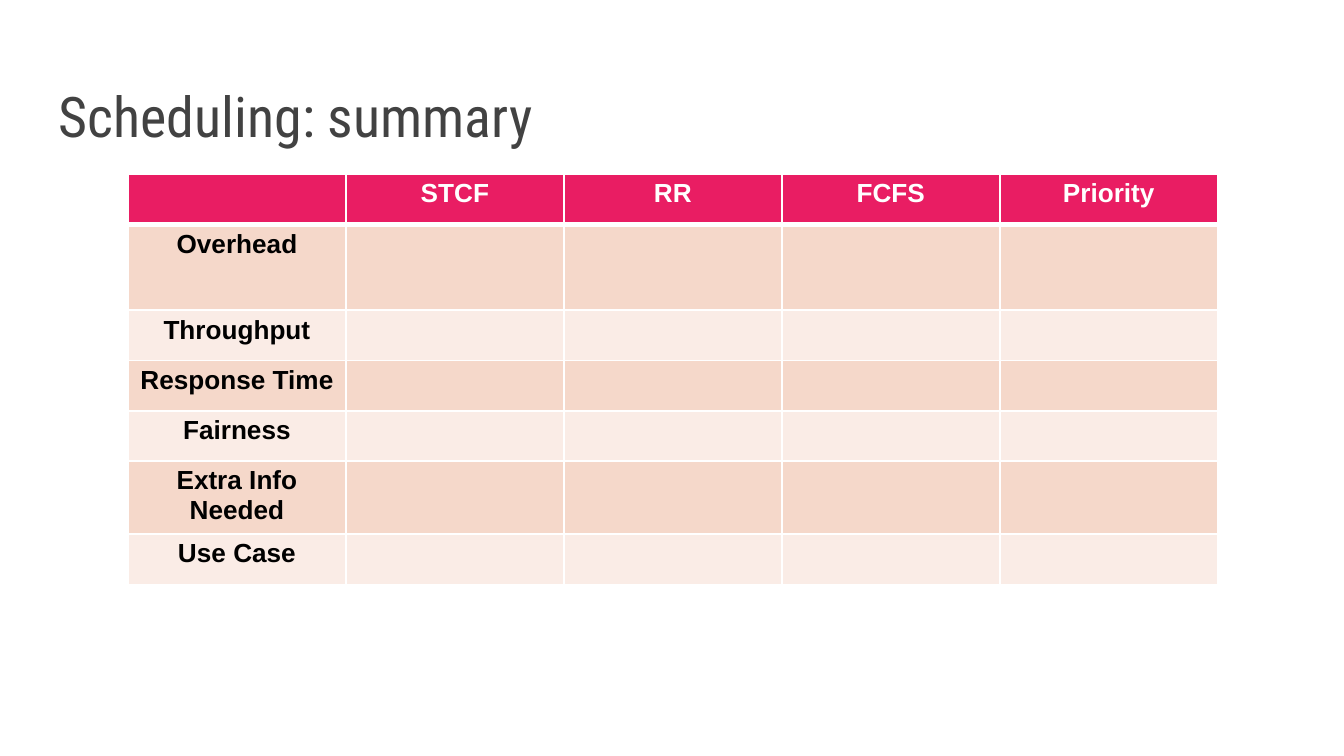
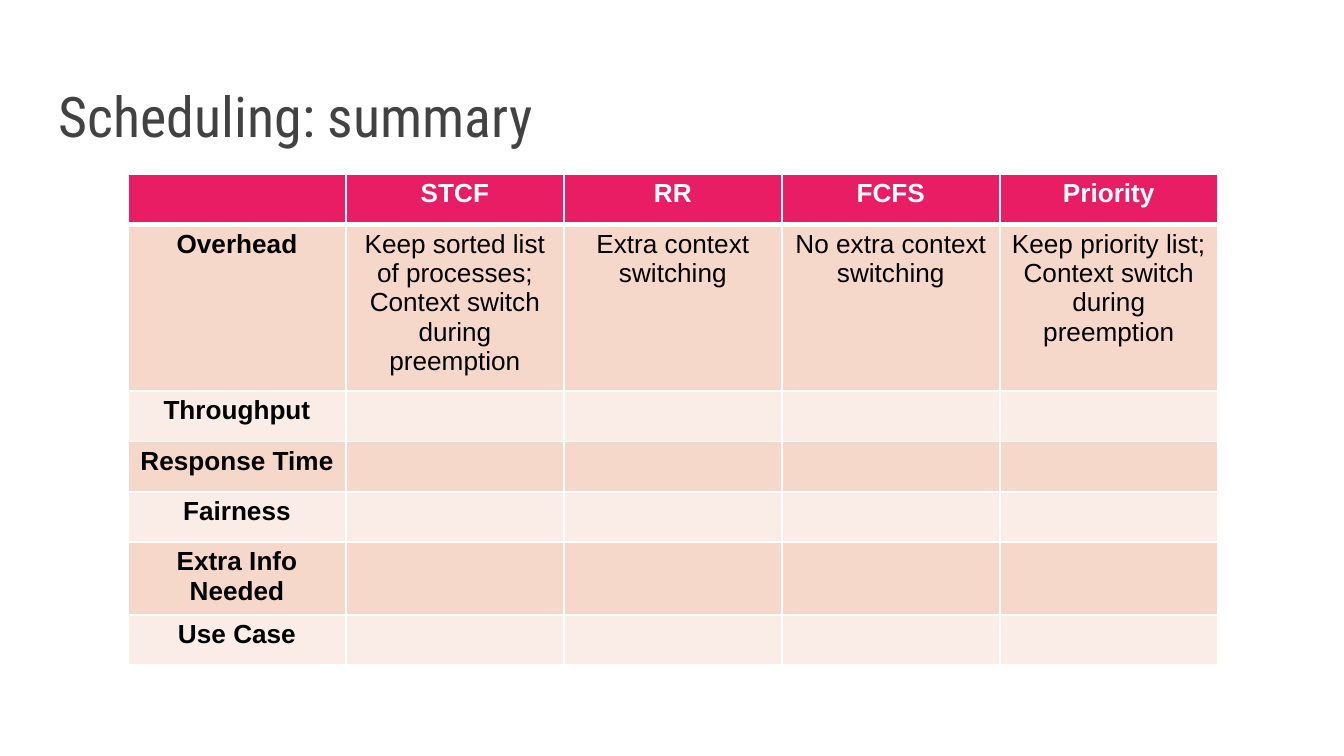
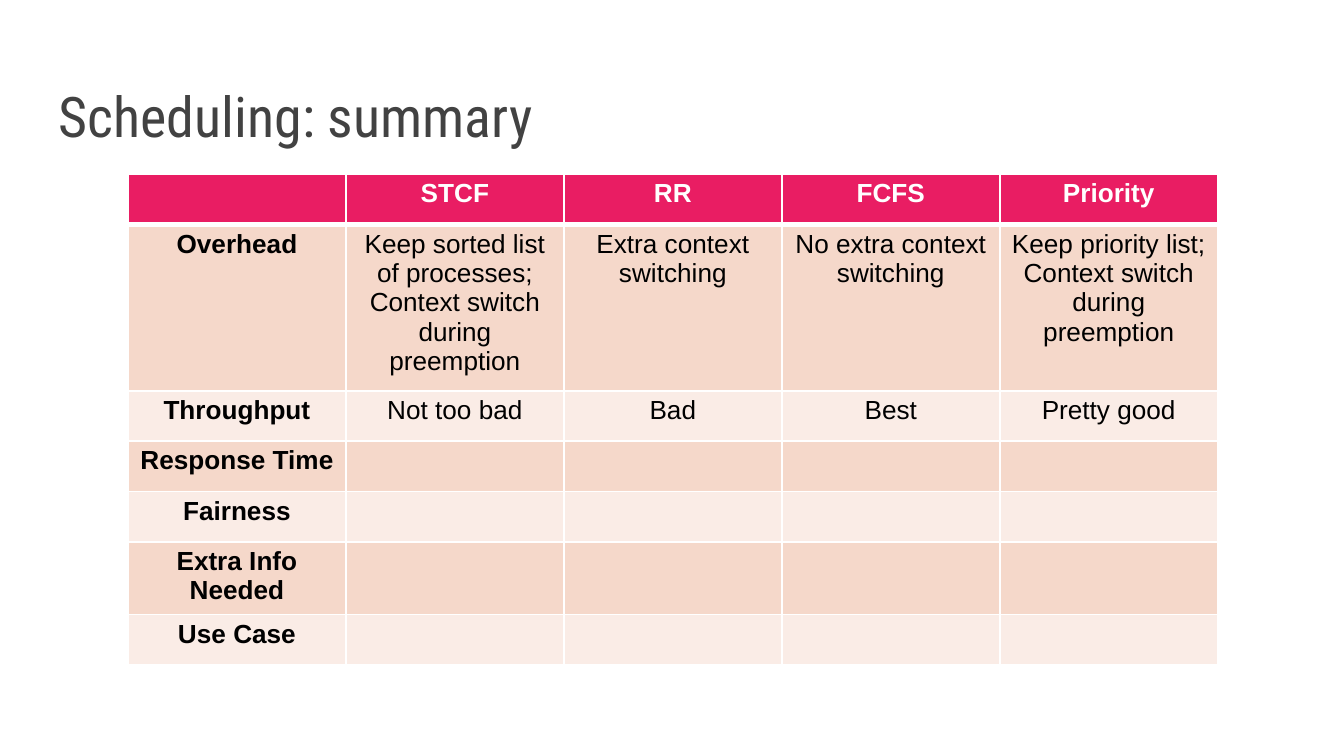
from dataclasses import dataclass

from lxml.etree import SubElement
from pptx import Presentation
from pptx.dml.color import RGBColor as RGB
from pptx.enum.text import MSO_ANCHOR as ANCHOR, PP_ALIGN as ALIGN
from pptx.oxml.ns import qn
from pptx.util import Emu, Pt


@dataclass(frozen=True)
class Theme:
    title_font: str = "Roboto Condensed"
    body_font: str = "Arial"
    title_size: int = 30
    body_size: int = 14
    title: str = "424242"
    ink: str = "000000"
    white: str = "FFFFFF"
    header: str = "E91D63"
    bands: tuple = ("F5D8CA", "FAECE6")
    thin: int = 1
    thick: int = 3


THEME = Theme()
SLIDE = (1344, 756)
TITLE_BOX = (46, 55, 1253, 107)
TABLE_BOX = (128, 174, 1090, 386)
ROW_H = 50
OVERHEAD_H = 86
TITLE_PAD = 13
CELL_PAD = {"margin_left": 10, "margin_right": 10, "margin_top": 5, "margin_bottom": 5}

POLICIES = ["STCF", "RR", "FCFS", "Priority"]
CRITERIA = ["Overhead", "Throughput", "Response Time", "Fairness", "Extra Info Needed", "Use Case"]
ANSWERS = [
    [
        "Keep sorted list of processes;\nContext switch during preemption",
        "Extra context switching",
        "No extra context switching",
        "Keep priority list; Context switch during preemption",
    ],
    ["Not too bad", "Bad", "Best", "Pretty good"],
]


def px(n):
    return Emu(round(n * 914400 / 134.4))


def set_all(obj, values):
    for name, value in values.items():
        setattr(obj, name, value)


def style_text(tf, align, color, **font):
    for p in tf.paragraphs:
        p.alignment = align
        for r in p.runs:
            set_all(r.font, font)
            r.font.color.rgb = RGB.from_string(color)


def add_title(slide, box, text):
    tf = slide.shapes.add_textbox(*map(px, box)).text_frame
    pads = {f"margin_{side}": px(TITLE_PAD) for side in ("left", "right", "top", "bottom")}
    set_all(tf, {"word_wrap": True, "vertical_anchor": ANCHOR.BOTTOM, "text": text, **pads})
    style_text(tf, ALIGN.LEFT, THEME.title, name=THEME.title_font, size=Pt(THEME.title_size))


def set_borders(cell, **widths):
    tc_pr = cell._tc.get_or_add_tcPr()
    for side in "LRTB":
        width = widths.get(side, THEME.thin)
        ln = SubElement(tc_pr, qn(f"a:ln{side}"), w=str(Pt(width)))
        fill = SubElement(ln, qn("a:solidFill"))
        SubElement(fill, qn("a:srgbClr"), val=THEME.white)


def fill_cell(cell, text, row, col):
    is_header = row == 0
    set_all(cell, {name: px(n) for name, n in CELL_PAD.items()})
    set_borders(
        cell,
        T=THEME.thick if row == 1 else THEME.thin,
        B=THEME.thick if is_header else THEME.thin,
    )
    cell.fill.solid()
    cell.fill.fore_color.rgb = RGB.from_string(THEME.header if is_header else THEME.bands[(row - 1) % 2])
    if text:
        cell.text_frame.text = text
        style_text(
            cell.text_frame,
            ALIGN.CENTER,
            THEME.white if is_header else THEME.ink,
            name=THEME.body_font,
            size=Pt(THEME.body_size),
            bold=is_header or col == 0,
        )


def add_comparison(slide, box, answers):
    blanks = [[""] * len(POLICIES)] * (len(CRITERIA) - len(answers))
    rows = [["", *POLICIES]]
    rows += [[name, *values] for name, values in zip(CRITERIA, answers + blanks)]
    table = slide.shapes.add_table(len(rows), len(rows[0]), *map(px, box)).table
    for column in table.columns:
        column.width = px(box[2] / len(rows[0]))
    for i, values in enumerate(rows):
        table.rows[i].height = px(OVERHEAD_H if i == 1 else ROW_H)
        for j, text in enumerate(values):
            fill_cell(table.cell(i, j), text, i, j)


def add_summary(prs, answers):
    slide = prs.slides.add_slide(prs.slide_layouts[6])
    add_title(slide, TITLE_BOX, "Scheduling: summary")
    add_comparison(slide, TABLE_BOX, answers)


def main():
    prs = Presentation()
    prs.slide_width, prs.slide_height = map(px, SLIDE)
    for shown in range(len(ANSWERS) + 1):
        add_summary(prs, ANSWERS[:shown])
    prs.save("out.pptx")


if __name__ == "__main__":
    main()
